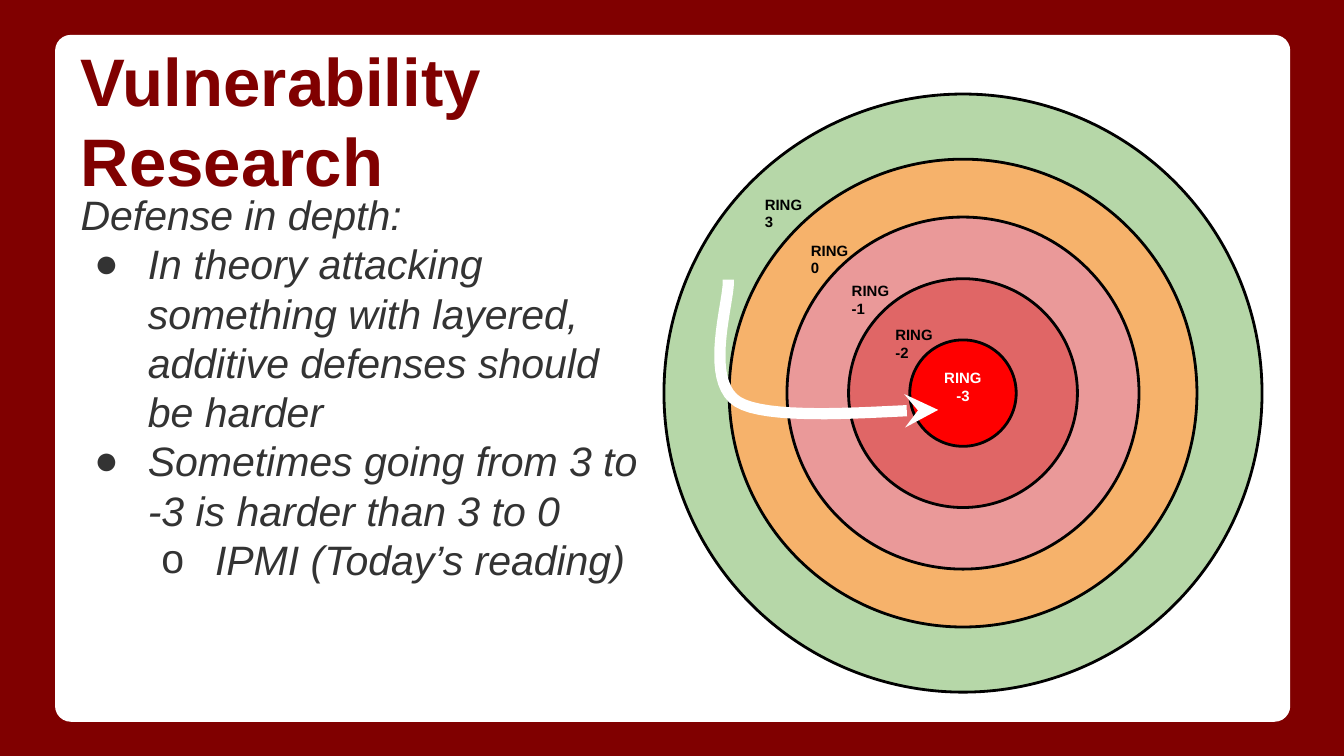
from lxml.etree import SubElement
from pptx import Presentation
from pptx.dml.color import RGBColor
from pptx.enum.shapes import MSO_SHAPE
from pptx.enum.text import MSO_ANCHOR, MSO_AUTO_SIZE, PP_ALIGN
from pptx.oxml.ns import qn
from pptx.util import Pt

MAROON = RGBColor(0x80, 0x00, 0x00)
WHITE = RGBColor(0xFF, 0xFF, 0xFF)
BLACK = RGBColor(0x00, 0x00, 0x00)
GRAY = RGBColor(0x33, 0x33, 0x33)
GREEN = RGBColor(0xB6, 0xD7, 0xA8)
ORANGE = RGBColor(0xF6, 0xB2, 0x6B)
PINK = RGBColor(0xEA, 0x99, 0x99)
ROSE = RGBColor(0xE0, 0x66, 0x66)
RED = RGBColor(0xFF, 0x00, 0x00)

FONT = "Arial"
INSET = 7.2
RING_CENTER = (515.9, 210.6)

# Label, diameter, fill, text colour, alignment; from the outside in
RINGS = [
    ("3", 320.4, GREEN, BLACK, PP_ALIGN.LEFT),
    ("0", 250.6, ORANGE, BLACK, PP_ALIGN.LEFT),
    ("-1", 188.6, PINK, BLACK, PP_ALIGN.LEFT),
    ("-2", 122.6, ROSE, BLACK, PP_ALIGN.LEFT),
    ("-3", 57, RED, WHITE, PP_ALIGN.CENTER),
]

# Text, level, bullet
BODY = [
    ("Defense in depth:", 0, None),
    ("In theory attacking something with layered, additive defenses should be harder", 0, "●"),
    ("Sometimes going from 3 to -3 is harder than 3 to 0", 0, "●"),
    ("IPMI (Today’s reading)", 1, "o"),
]

# Cubic curves of the attack path: start, two controls, end
ATTACK_CURVES = [
    ((390.2, 149.8), (391, 160.6), (376.6, 203.8), (395.3, 215.3)),
    ((395.3, 215.3), (414, 226.8), (484.6, 218.9), (502.6, 219.6)),
]


def place(shape, left, top, width, height):
    shape.left, shape.top = Pt(left), Pt(top)
    shape.width, shape.height = Pt(width), Pt(height)


def format_frame(text_frame, anchor):
    text_frame.word_wrap = True
    text_frame.auto_size = MSO_AUTO_SIZE.NONE
    text_frame.vertical_anchor = anchor
    text_frame.margin_left = text_frame.margin_right = Pt(INSET)
    text_frame.margin_top = text_frame.margin_bottom = Pt(INSET)


def format_paragraph(paragraph, size, color, bold=False, italic=False, align=PP_ALIGN.LEFT):
    paragraph.alignment = align
    paragraph.space_before = paragraph.space_after = Pt(0)
    for run in paragraph.runs:
        run.font.name = FONT
        run.font.size = Pt(size)
        run.font.bold = bold
        run.font.italic = italic
        run.font.color.rgb = color


def set_bullet(paragraph, bullet, level):
    properties = paragraph._p.get_or_add_pPr()
    if bullet is None:
        properties.set("marL", "0")
        properties.set("indent", "0")
        SubElement(properties, qn("a:buNone"))
        return
    properties.set("marL", str(Pt(36 * (level + 1))))
    properties.set("indent", str(Pt(-28.8)))
    color = SubElement(properties, qn("a:buClr"))
    SubElement(color, qn("a:srgbClr")).set("val", str(GRAY))
    SubElement(properties, qn("a:buFont")).set("typeface", FONT)
    SubElement(properties, qn("a:buChar")).set("char", bullet)


def add_panel(slide):
    panel = slide.shapes.add_shape(
        MSO_SHAPE.ROUNDED_RECTANGLE, Pt(29.5), Pt(18.7), Pt(661.7), Pt(368))
    panel.adjustments[0] = 0.023
    panel.shadow.inherit = False
    panel.fill.solid()
    panel.fill.fore_color.rgb = WHITE
    panel.line.fill.background()
    # Behind the placeholders
    slide.shapes._spTree.insert(2, panel._element)


def fill_title(title):
    place(title, 36, 46.8, 648, 67.7)
    title.text_frame.text = "Vulnerability\nResearch"
    format_frame(title.text_frame, MSO_ANCHOR.BOTTOM)
    for paragraph in title.text_frame.paragraphs:
        format_paragraph(paragraph, 36, MAROON, bold=True)


def fill_body(body):
    place(body, 36, 94.3, 320.4, 293)
    text_frame = body.text_frame
    text_frame.text = "\n".join(text for text, _, _ in BODY)
    format_frame(text_frame, MSO_ANCHOR.TOP)
    for paragraph, (_, level, bullet) in zip(text_frame.paragraphs, BODY):
        paragraph.level = level
        format_paragraph(paragraph, 22, GRAY, italic=True)
        set_bullet(paragraph, bullet, level)


def add_ring(slide, label, diameter, fill, text_color, align):
    left, top = (center - diameter / 2 for center in RING_CENTER)
    ring = slide.shapes.add_shape(
        MSO_SHAPE.OVAL, Pt(left), Pt(top), Pt(diameter), Pt(diameter))
    ring.shadow.inherit = False
    ring.fill.solid()
    ring.fill.fore_color.rgb = fill
    ring.line.color.rgb = BLACK
    ring.line.width = Pt(1.5)
    ring.text_frame.text = f"RING\n{label}"
    format_frame(ring.text_frame, MSO_ANCHOR.TOP)
    for paragraph in ring.text_frame.paragraphs:
        format_paragraph(paragraph, 8, text_color, bold=True, align=align)


def curve_points(curve, steps=20):
    """Points along a cubic curve, without its start."""
    for step in range(1, steps + 1):
        t = step / steps
        weights = ((1 - t) ** 3, 3 * t * (1 - t) ** 2, 3 * t ** 2 * (1 - t), t ** 3)
        yield tuple(
            Pt(sum(weight * point[axis] for weight, point in zip(weights, curve)))
            for axis in (0, 1))


def add_attack_arrow(slide):
    start_x, start_y = ATTACK_CURVES[0][0]
    builder = slide.shapes.build_freeform(Pt(start_x), Pt(start_y))
    for curve in ATTACK_CURVES:
        builder.add_line_segments(list(curve_points(curve)), close=False)
    arrow = builder.convert_to_shape()
    arrow.shadow.inherit = False
    arrow.fill.background()
    arrow.line.color.rgb = WHITE
    arrow.line.width = Pt(6)
    line = arrow.line._get_or_add_ln()
    SubElement(line, qn("a:round"))
    SubElement(line, qn("a:tailEnd")).set("type", "stealth")


def main():
    presentation = Presentation()
    presentation.slide_width = Pt(720)
    presentation.slide_height = Pt(405)
    slide = presentation.slides.add_slide(presentation.slide_layouts[1])
    slide.background.fill.solid()
    slide.background.fill.fore_color.rgb = MAROON

    # Panel and text
    add_panel(slide)
    fill_title(slide.shapes.title)
    fill_body(slide.placeholders[1])

    # Protection rings and the path through them
    for ring in RINGS:
        add_ring(slide, *ring)
    add_attack_arrow(slide)

    presentation.save("out.pptx")


if __name__ == "__main__":
    main()
